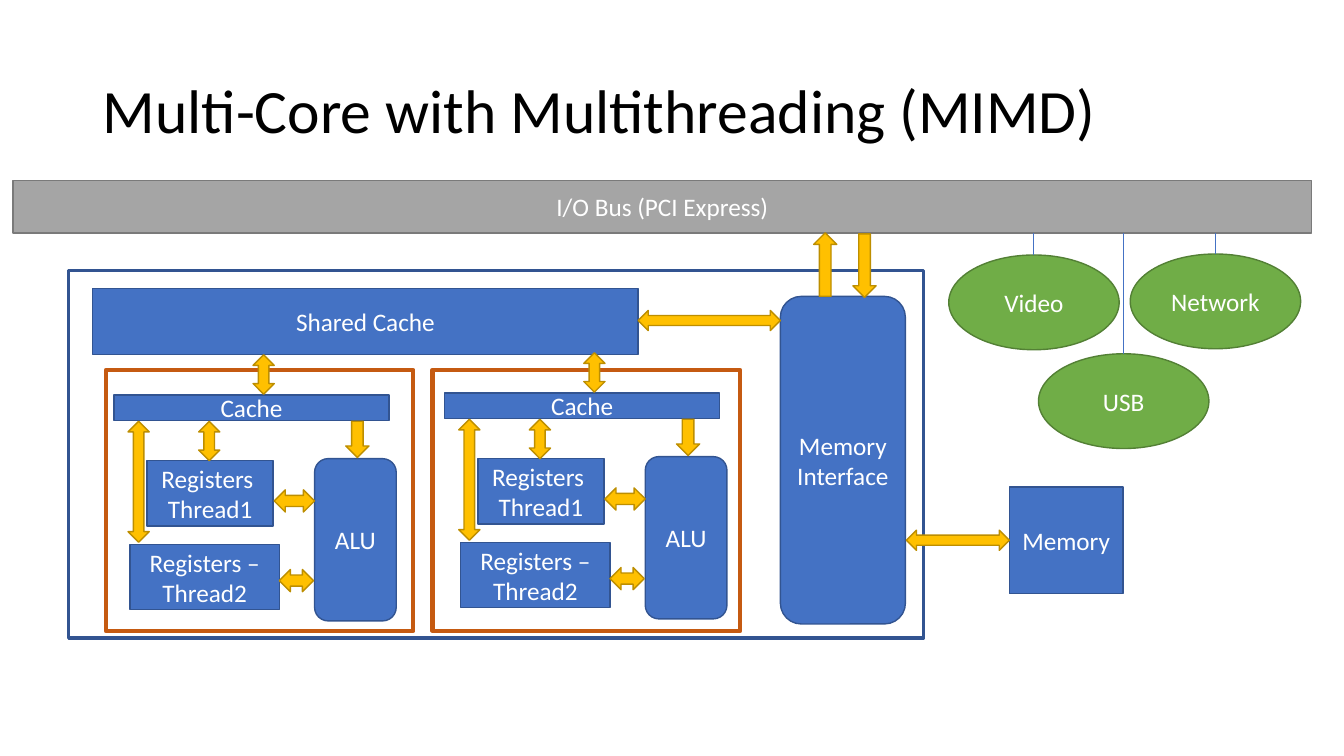
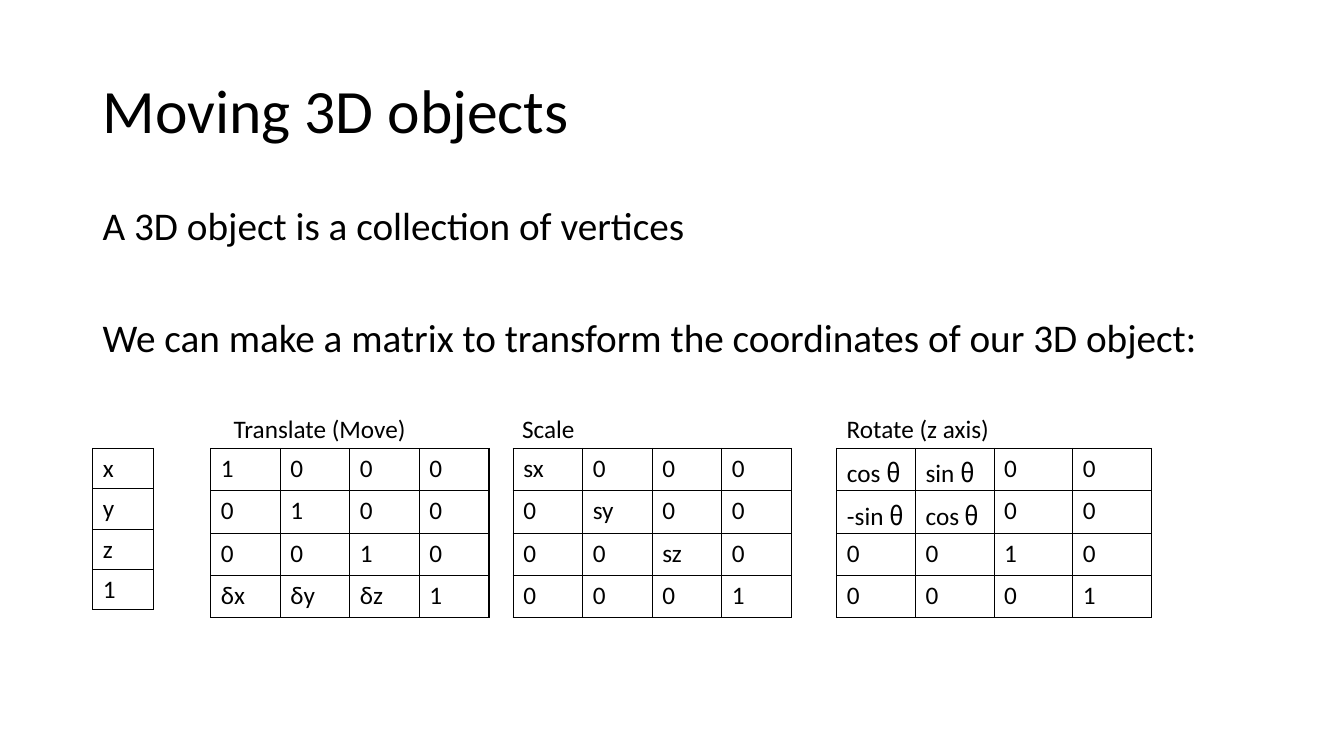
from lxml import etree
from pptx import Presentation
from pptx import util as u
from pptx.dml.color import RGBColor
from pptx.enum import shapes, text
from pptx.oxml.ns import qn

PX = 9144  # 100 px to the inch
FONT = "Calibri"
GREEK_FONT = "Noto Sans CJK KR"
BLACK = RGBColor(0x00, 0x00, 0x00)
WHITE = RGBColor(0xFF, 0xFF, 0xFF)
BLUE = RGBColor(0x44, 0x72, 0xC4)
NAVY = RGBColor(0x32, 0x54, 0x91)
GREY = RGBColor(0xA5, 0xA5, 0xA5)
DARK_GREY = RGBColor(0x7A, 0x7A, 0x7A)
GREEN = RGBColor(0x70, 0xAD, 0x47)
DARK_GREEN = RGBColor(0x53, 0x80, 0x35)
GOLD = RGBColor(0xFF, 0xC0, 0x00)
DARK_GOLD = RGBColor(0xBD, 0x8E, 0x00)
ORANGE = RGBColor(0xC5, 0x5A, 0x11)

KIND = shapes.MSO_SHAPE
RECT, ROUND, OVAL = KIND.RECTANGLE, KIND.ROUNDED_RECTANGLE, KIND.OVAL
UP, DOWN = KIND.UP_ARROW, KIND.DOWN_ARROW
UP_DOWN, LEFT_RIGHT = KIND.UP_DOWN_ARROW, KIND.LEFT_RIGHT_ARROW


def emu(*lengths):
    return [u.Emu(length * PX) for length in lengths]


def style_runs(para, size, color):
    for span in para.runs:
        span.font.name = GREEK_FONT if span.text == "θ" else FONT
        span.font.size = u.Pt(size)
        span.font.color.rgb = color


def add_text(page, place, words, size=18):
    box = page.shapes.add_textbox(*emu(*place))
    frame = box.text_frame
    frame.word_wrap = True
    frame.text = words
    for para in frame.paragraphs:
        style_runs(para, size, BLACK)
    return frame


def add_title(page, words):
    frame = add_text(page, (92, 40, 1150, 145), words, 44)
    frame.vertical_anchor = text.MSO_ANCHOR.MIDDLE
    frame.paragraphs[0].line_spacing = 0.9


def add_caption(page, place, words):
    frame = add_text(page, place, words)
    frame.word_wrap = False
    frame.auto_size = text.MSO_AUTO_SIZE.SHAPE_TO_FIT_TEXT


def add_block(page, kind, place, words="", fill=BLUE, line=NAVY):
    block = page.shapes.add_shape(kind, *emu(*place))
    block.shadow.inherit = False
    block.fill.solid()
    block.fill.fore_color.rgb = fill
    block.line.color.rgb = line
    block.line.width = u.Pt(1)
    if words:
        frame = block.text_frame
        frame.text = words
        frame.word_wrap = True
        frame.vertical_anchor = text.MSO_ANCHOR.MIDDLE
        for para in frame.paragraphs:
            para.alignment = text.PP_ALIGN.CENTER
            style_runs(para, 18, WHITE)
    return block


def add_arrow(page, kind, place):
    add_block(page, kind, place, fill=GOLD, line=DARK_GOLD)


def add_frame(page, place, color, weight):
    frame = add_block(page, RECT, place, line=color)
    frame.fill.background()
    frame.line.width = u.Pt(weight)


def add_line(page, start, end):
    line = page.shapes.add_connector(
        shapes.MSO_CONNECTOR.STRAIGHT, *emu(*start, *end))
    line.line.color.rgb = BLUE
    line.line.width = u.Pt(0.5)
    etree.SubElement(line._element.spPr, qn("a:effectLst"))


def add_core(page, dx, dy):
    """Draw one core's cache, thread registers, ALU and arrows."""
    blocks = (
        (RECT, (113, 392, 273, 25), "Cache"),
        (ROUND, (312, 455, 81, 161), "ALU"),
        (RECT, (146, 457, 125, 65), "Registers \nThread1"),
        (RECT, (129, 540, 148, 65), "Registers – Thread2"),
    )
    arrows = (
        (UP_DOWN, (251, 352, 21, 39)),
        (DOWN, (343, 418, 23, 36)),
        (UP_DOWN, (127, 418, 21, 120)),
        (UP_DOWN, (197, 418, 21, 39)),
        (LEFT_RIGHT, (272, 486, 40, 22)),
        (LEFT_RIGHT, (277, 565, 34, 22)),
    )
    for kind, (left, top, *size), words in blocks:
        add_block(page, kind, (left + dx, top + dy, *size), words)
    for kind, (left, top, *size) in arrows:
        add_arrow(page, kind, (left + dx, top + dy, *size))


def add_border(cell):
    properties = cell._tc.get_or_add_tcPr()
    for side in ("a:lnL", "a:lnR", "a:lnT", "a:lnB"):
        line = etree.SubElement(properties, qn(side), w=str(u.Pt(1)))
        fill = etree.SubElement(line, qn("a:solidFill"))
        etree.SubElement(fill, qn("a:srgbClr"), val=str(BLACK))


def fill_cell(cell, words):
    add_border(cell)
    cell.fill.background()
    cell.margin_bottom = 0
    para = cell.text_frame.paragraphs[0]
    name, theta, _ = words.partition("θ")
    for part in filter(None, (name, theta)):
        para.add_run().text = part
    style_runs(para, 18, BLACK)


def add_matrix(page, left, column, row, values):
    """Draw a bordered table; column and row are the cell's sides."""
    size = (column * len(values[0]), row * len(values))
    table = page.shapes.add_table(
        len(values), len(values[0]), *emu(left, 445, *size)).table
    table.first_row = table.horz_banding = False
    for line in table.rows:
        line.height = u.Emu(row * PX)
    for line in table.columns:
        line.width = u.Emu(column * PX)
    for r, entries in enumerate(values):
        for c, words in enumerate(entries):
            fill_cell(table.cell(r, c), words)


def build_multicore(page):
    add_title(page, "Multi-Core with Multithreading (MIMD)")
    add_block(page, ROUND, (774, 294, 124, 325), "Memory Interface")
    add_block(page, RECT, (13, 179, 1288, 52), "I/O Bus (PCI Express)",
              GREY, DARK_GREY)
    add_block(page, RECT, (1001, 483, 113, 106), "Memory")
    add_frame(page, (68, 268, 848, 365), NAVY, 2.25)
    for left, top, words in ((941, 253, "Video"), (1121, 252, "Network"),
                             (1030, 351, "USB")):
        add_block(page, OVAL, (left, top, 169, 94), words, GREEN, DARK_GREEN)
        add_line(page, (left + 84, top), (left + 84, 231))
    add_block(page, RECT, (92, 286, 541, 66), "Shared Cache")
    for left in (105, 429):
        add_frame(page, (left, 367, 305, 259), ORANGE, 3)
    add_core(page, 0, 0)
    add_core(page, 328, -2)
    add_arrow(page, UP, (807, 231, 23, 63))
    add_arrow(page, DOWN, (846, 232, 23, 63))
    add_arrow(page, LEFT_RIGHT, (633, 308, 141, 20))
    add_arrow(page, LEFT_RIGHT, (899, 526, 102, 20))


def build_transforms(page):
    add_title(page, "Moving 3D objects")
    body = add_text(
        page, (92, 200, 1150, 175),
        "A 3D object is a collection of vertices\n"
        "We can make a matrix to transform the coordinates of our 3D object:",
        28)
    for para, gap in zip(body.paragraphs, (10, 50)):
        para.line_spacing = 0.9
        para.space_before = u.Pt(gap)

    add_matrix(page, 92, 60, 40, ["x", "y", "z", "1"])
    add_matrix(page, 209, 69, 42, [
        ["1", "0", "0", "0"],
        ["0", "1", "0", "0"],
        ["0", "0", "1", "0"],
        ["δx", "δy", "δz", "1"],
    ])
    add_matrix(page, 509, 69, 42, [
        ["sx", "0", "0", "0"],
        ["0", "sy", "0", "0"],
        ["0", "0", "sz", "0"],
        ["0", "0", "0", "1"],
    ])
    add_matrix(page, 830, 78, 42, [
        ["cos θ", "sin θ", "0", "0"],
        ["-sin θ", "cos θ", "0", "0"],
        ["0", "0", "1", "0"],
        ["0", "0", "0", "1"],
    ])
    for left, width, words in ((222, 193, "Translate (Move)"),
                               (508, 73, "Scale"),
                               (830, 163, "Rotate (z axis)")):
        add_caption(page, (left, 405, width, 40), words)


def main():
    deck = Presentation()
    deck.slide_width, deck.slide_height = emu(1333, 750)
    blank = deck.slide_layouts[6]
    for build in (build_multicore, build_transforms):
        build(deck.slides.add_slide(blank))
    deck.save("out.pptx")


if __name__ == "__main__":
    main()
